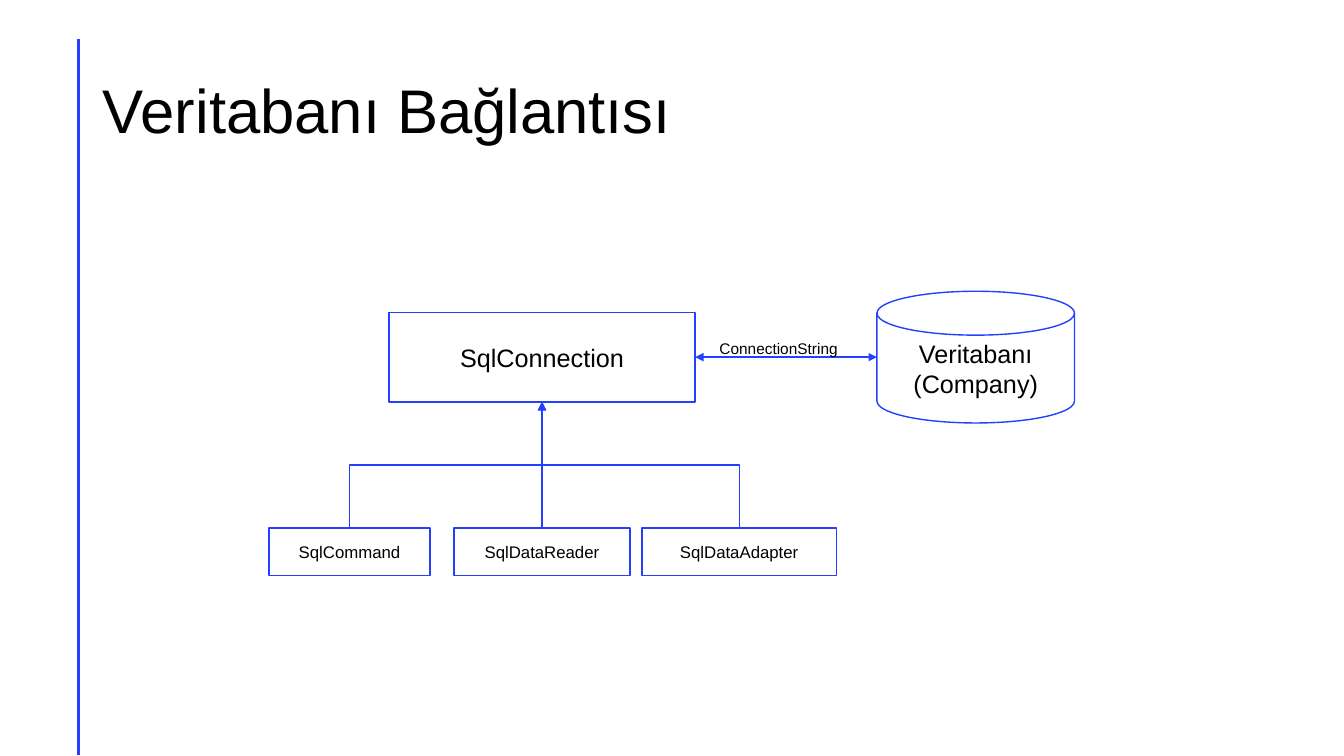
from lxml.etree import SubElement
from pptx import Presentation
from pptx.dml.color import RGBColor
from pptx.enum.shapes import MSO_CONNECTOR, MSO_SHAPE
from pptx.enum.text import MSO_ANCHOR, PP_ALIGN
from pptx.oxml.ns import qn
from pptx.util import Cm, Pt

BLUE, BLACK, WHITE = "243FFF", "000000", "FFFFFF"


def write_text(shape, text, size, alignment, color=BLACK):
    shape.text_frame.text = text
    shape.text_frame.vertical_anchor = MSO_ANCHOR.MIDDLE
    for paragraph in shape.text_frame.paragraphs:
        paragraph.alignment = alignment
        for run in paragraph.runs:
            run.font.name = "Arial"
            run.font.size = Pt(size)
            run.font.color.rgb = RGBColor.from_string(color)


def style_line(connector, width=1, arrowheads=()):
    """Colour a connector, drop its shadow and add headEnd or tailEnd arrows."""
    connector.line.color.rgb = RGBColor.from_string(BLUE)
    connector.line.width = Pt(width)
    properties = connector._element.spPr
    for arrowhead in arrowheads:
        SubElement(properties.find(qn("a:ln")), qn("a:" + arrowhead), type="triangle")
    SubElement(properties, qn("a:effectLst"))


presentation = Presentation()
presentation.slide_width = Cm(33.87)
presentation.slide_height = Cm(19.05)
slide = presentation.slides.add_slide(presentation.slide_layouts[5])
shapes = slide.shapes

# Title and margin line
title = shapes.title
title.left, title.top, title.width, title.height = Cm(2.34), Cm(1.02), Cm(29.21), Cm(3.68)
write_text(title, "Veritabanı Bağlantısı", 44, PP_ALIGN.LEFT)
title.text_frame.paragraphs[0].line_spacing = 0.9

margin_line = shapes.add_connector(MSO_CONNECTOR.STRAIGHT, Cm(1.98), Cm(0.98), Cm(1.98), Cm(19.02))
style_line(margin_line, width=2)

# Boxes: text, preset, left, top, width, height, text size
boxes = [
    ("SqlConnection", MSO_SHAPE.RECTANGLE, 9.8, 7.87, 7.72, 2.26, 18),
    ("Veritabanı\n(Company)", MSO_SHAPE.FLOWCHART_MAGNETIC_DISK, 22.1, 7.34, 4.98, 3.32, 18),
    ("SqlCommand", MSO_SHAPE.RECTANGLE, 6.78, 13.31, 4.06, 1.2, 12),
    ("SqlDataReader", MSO_SHAPE.RECTANGLE, 11.44, 13.31, 4.44, 1.2, 12),
    ("SqlDataAdapter", MSO_SHAPE.RECTANGLE, 16.18, 13.31, 4.9, 1.2, 12),
]
drawn = []
for text, preset, left, top, width, height, size in boxes:
    box = shapes.add_shape(preset, Cm(left), Cm(top), Cm(width), Cm(height))
    box.shadow.inherit = False
    box.fill.solid()
    box.fill.fore_color.rgb = RGBColor.from_string(WHITE)
    box.line.color.rgb = RGBColor.from_string(BLUE)
    box.line.width = Pt(1)
    write_text(box, text, size, PP_ALIGN.CENTER)
    drawn.append(box)
connection, database, command, reader, adapter = drawn

# Connection to the database
middle = connection.top + connection.height // 2
database_link = shapes.add_connector(
    MSO_CONNECTOR.STRAIGHT, connection.left + connection.width, middle, database.left, middle)
database_link.begin_connect(connection, 3)
style_line(database_link, arrowheads=("headEnd", "tailEnd"))

label = shapes.add_textbox(Cm(17.88), Cm(8.36), Cm(3.86), Cm(0.84))
label.text_frame.word_wrap = False
write_text(label, "ConnectionString", 11, PP_ALIGN.LEFT)

# Classes that use the connection
reader_link = shapes.add_connector(MSO_CONNECTOR.STRAIGHT, 0, 0, 0, 0)
reader_link.begin_connect(reader, 0)
reader_link.end_connect(connection, 2)
style_line(reader_link, arrowheads=("tailEnd",))

target_x = connection.left + connection.width // 2
target_y = connection.top + connection.height
turns = [
    (command, {"rot": "5400000", "flipH": "1", "flipV": "1"}),
    (adapter, {"rot": "16200000", "flipV": "1"}),
]
for box, turn in turns:
    start_x = box.left + box.width // 2
    rise, run_length = box.top - target_y, abs(target_x - start_x)
    # The elbow is laid out sideways, then turned so that it leaves the box upwards
    left = (start_x + target_x - rise) // 2
    top = (box.top + target_y - run_length) // 2
    elbow = shapes.add_connector(MSO_CONNECTOR.ELBOW, left, top, left + rise, top + run_length)
    for name, value in turn.items():
        elbow._element.spPr.find(qn("a:xfrm")).set(name, value)
    style_line(elbow, arrowheads=("tailEnd",))

presentation.save("out.pptx")
